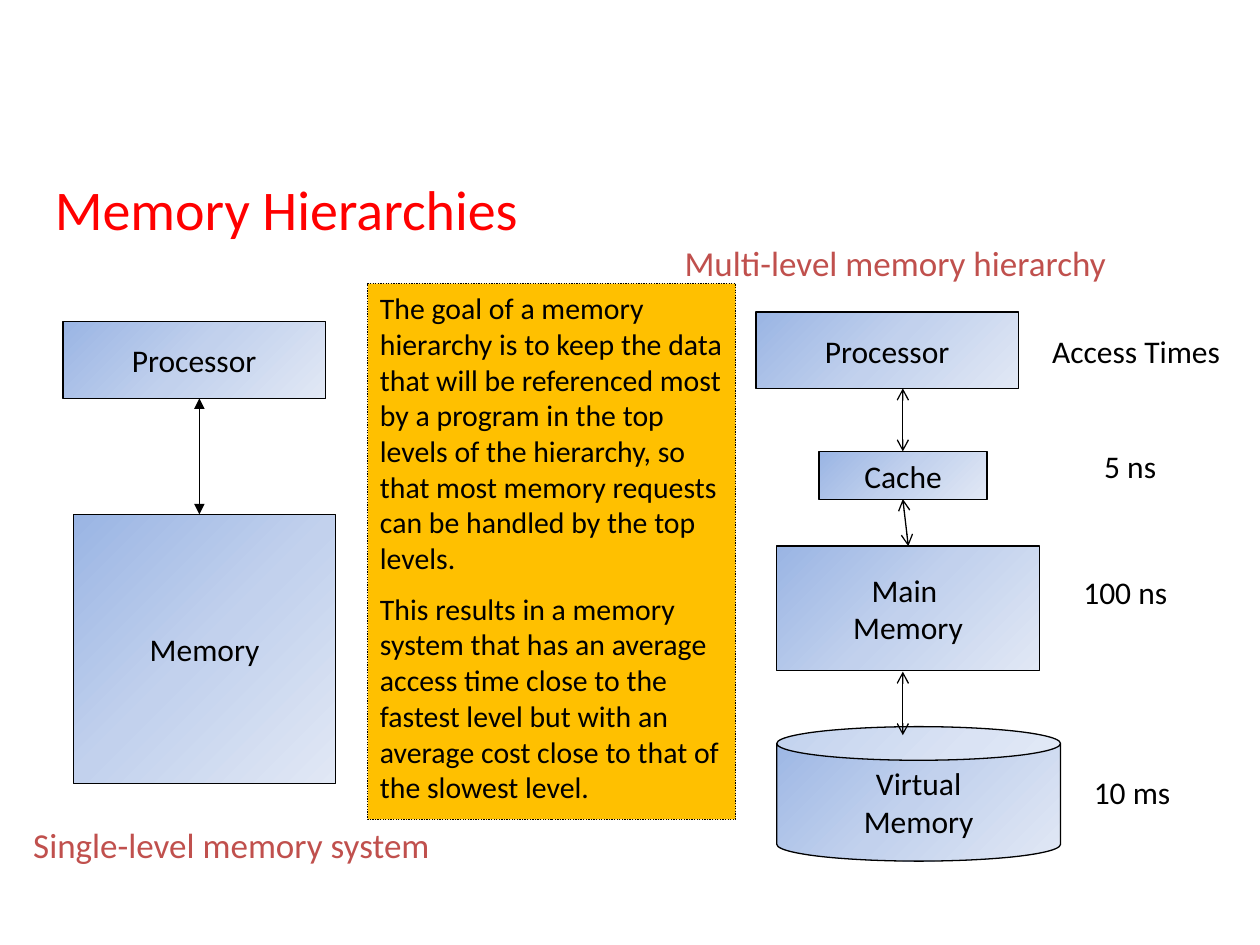
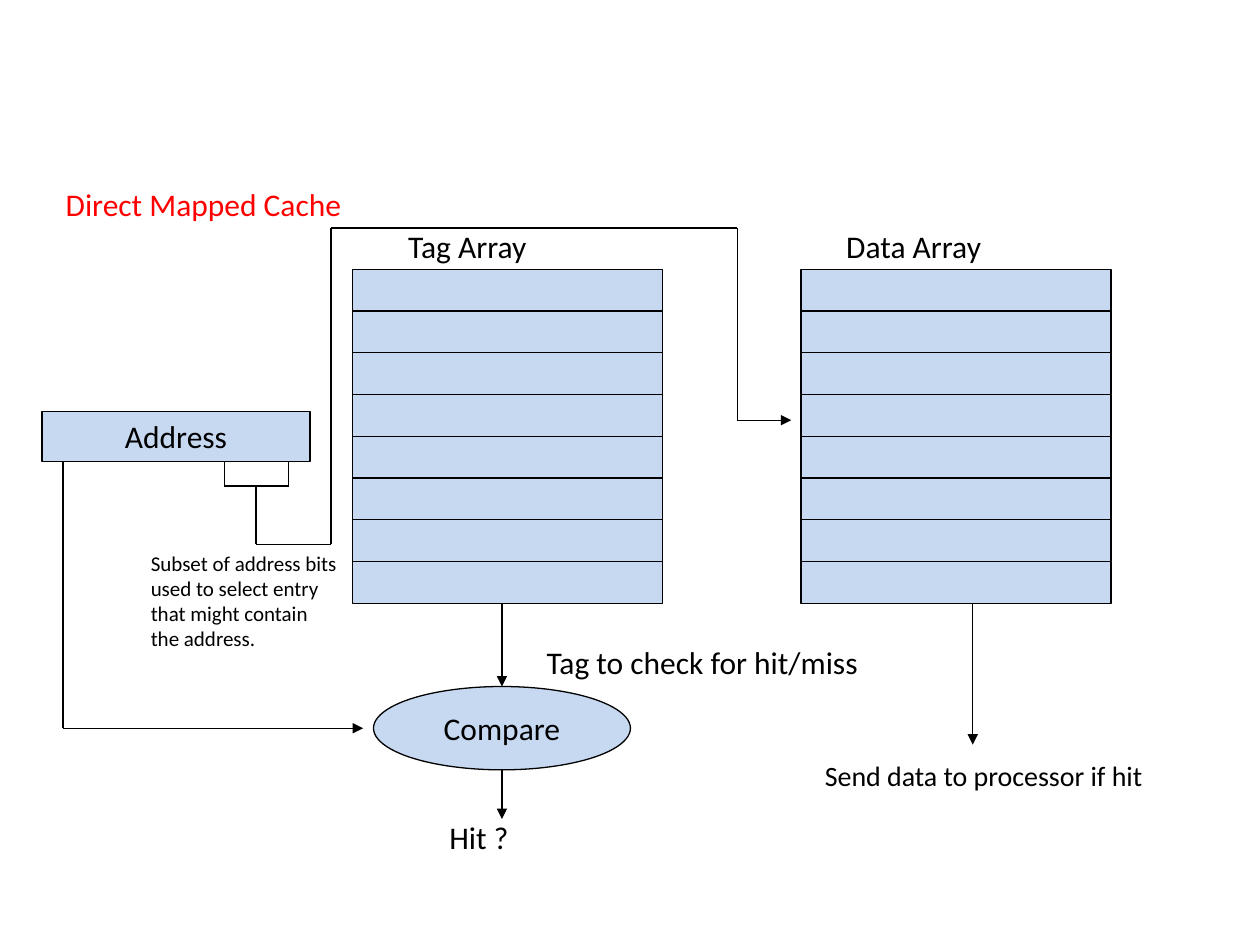
"""Build two lecture slides on memory hierarchies and direct mapped caches."""
from copy import deepcopy
from dataclasses import dataclass
from itertools import pairwise

from lxml import etree
from pptx import Presentation
from pptx.dml.color import RGBColor
from pptx.enum.dml import MSO_LINE
from pptx.enum.shapes import MSO_CONNECTOR, MSO_SHAPE
from pptx.enum.text import MSO_ANCHOR, MSO_AUTO_SIZE, PP_ALIGN
from pptx.oxml.ns import qn
from pptx.util import Cm, Pt

RECTANGLE = MSO_SHAPE.RECTANGLE
CAN = MSO_SHAPE.CAN
OVAL = MSO_SHAPE.OVAL
STRAIGHT = MSO_CONNECTOR.STRAIGHT
DOTTED = MSO_LINE.ROUND_DOT
TOP, MIDDLE = MSO_ANCHOR.TOP, MSO_ANCHOR.MIDDLE
LEFT, CENTER = PP_ALIGN.LEFT, PP_ALIGN.CENTER
FIT_SHAPE = MSO_AUTO_SIZE.SHAPE_TO_FIT_TEXT
NO_FIT = MSO_AUTO_SIZE.NONE

COLORS = {
    "title": "FF0000",
    "caption": "C0504D",
    "ink": "000000",
    "note": "FFC000",
    "cell": "C6D9F1",
    "gradient_start": "9AB5E4",
    "gradient_middle": "C2D1ED",
    "gradient_end": "E1E8F5",
}
GRADIENT = ((0, "gradient_start"), (0.5, "gradient_middle"), (1, "gradient_end"))
FONT = "Calibri"
LINE_WIDTH = Pt(0.75)


@dataclass(frozen=True)
class Area:
    left: float
    top: float
    width: float
    height: float

    def lengths(self):
        return Cm(self.left), Cm(self.top), Cm(self.width), Cm(self.height)


@dataclass(frozen=True)
class Box:
    area: Area
    text: str = ""
    kind: MSO_SHAPE = RECTANGLE
    fill: str = "gradient"


@dataclass(frozen=True)
class Label:
    area: Area
    text: str
    size: float = 18
    color: str = "ink"


@dataclass(frozen=True)
class Route:
    points: tuple
    head: str = ""
    tail: str = ""


def rgb(name: str) -> RGBColor:
    return RGBColor.from_string(COLORS[name])


def write(frame, text: str, size: float, color: str, alignment, space: float = 0) -> None:
    for index, line in enumerate(text.split("\n")):
        paragraph = frame.add_paragraph() if index else frame.paragraphs[0]
        paragraph.alignment = alignment
        paragraph.space_before = Pt(space if index else 0)
        run = paragraph.add_run()
        run.text = line
        run.font.name = FONT
        run.font.size = Pt(size)
        run.font.color.rgb = rgb(color)


def fill_gradient(shape) -> None:
    shape.fill.gradient()
    shape.fill.gradient_angle = 315
    stops = shape.element.spPr.find(".//" + qn("a:gsLst"))
    stops.insert(1, deepcopy(stops[0]))
    for stop, (position, name) in zip(shape.fill.gradient_stops, GRADIENT):
        stop.position = position
        stop.color.rgb = rgb(name)


def add_box(slide, box: Box):
    shape = slide.shapes.add_shape(box.kind, *box.area.lengths())
    shape.shadow.inherit = False
    if box.fill == "gradient":
        fill_gradient(shape)
    else:
        shape.fill.solid()
        shape.fill.fore_color.rgb = rgb(box.fill)
    shape.line.color.rgb = rgb("ink")
    shape.line.width = LINE_WIDTH
    frame = shape.text_frame
    frame.word_wrap = False
    frame.vertical_anchor = MIDDLE
    if box.text:
        write(frame, box.text, 18, "ink", CENTER)
    return shape


def add_label(slide, label: Label) -> None:
    frame = slide.shapes.add_textbox(*label.area.lengths()).text_frame
    frame.word_wrap = True
    frame.auto_size = FIT_SHAPE
    write(frame, label.text, label.size, label.color, LEFT)


def add_note(slide, area: Area, text: str) -> None:
    shape = add_box(slide, Box(area, fill="note"))
    shape.line.dash_style = DOTTED
    frame = shape.text_frame
    frame.word_wrap = True
    frame.vertical_anchor = TOP
    frame.auto_size = FIT_SHAPE
    write(frame, text, 17, "ink", LEFT, space=8.5)


def add_route(slide, route: Route) -> None:
    last = len(route.points) - 2
    for index, (start, end) in enumerate(pairwise(route.points)):
        connector = slide.shapes.add_connector(
            STRAIGHT, *(Cm(value) for value in start + end))
        connector.line.color.rgb = rgb("ink")
        connector.line.width = LINE_WIDTH
        properties = connector.element.spPr
        outline = properties.find(qn("a:ln"))
        if route.head and index == 0:
            etree.SubElement(outline, qn("a:headEnd"), type=route.head)
        if route.tail and index == last:
            etree.SubElement(outline, qn("a:tailEnd"), type=route.tail)
        etree.SubElement(properties, qn("a:effectLst"))


def add_slide(presentation, title: Label):
    slide = presentation.slides.add_slide(presentation.slide_layouts[5])
    shape = slide.shapes.title
    shape.left, shape.top, shape.width, shape.height = title.area.lengths()
    frame = shape.text_frame
    frame.word_wrap = True
    frame.auto_size = NO_FIT
    frame.vertical_anchor = TOP
    write(frame, title.text, title.size, title.color, LEFT)
    return slide


def draw(slide, boxes: list, routes: list, labels: list) -> None:
    for box in boxes:
        add_box(slide, box)
    for route in routes:
        add_route(slide, route)
    for label in labels:
        add_label(slide, label)


def build_hierarchies(presentation) -> None:
    slide = add_slide(presentation, Label(
        Area(0.85, 3.39, 11.43, 1.48), "Memory Hierarchies", 32, "title"))
    boxes = [
        Box(Area(1.27, 6.48, 5.29, 1.55), "Processor"),
        Box(Area(1.48, 10.37, 5.29, 5.43), "Memory"),
        Box(Area(15.24, 6.29, 5.29, 1.55), "Processor"),
        Box(Area(16.51, 9.1, 3.39, 0.97), "Cache"),
        Box(Area(15.66, 11.01, 5.29, 2.51), "Main \nMemory"),
        Box(Area(15.66, 14.65, 5.72, 2.71), "Virtual\nMemory", CAN),
    ]
    routes = [Route(((4.02, 8.03), (4.02, 10.37)), "triangle", "triangle")]
    routes += [
        Route(points, "arrow", "arrow") for points in (
            ((18.2, 7.83), (18.2, 9.1)),
            ((18.2, 10.06), (18.31, 11.01)),
            ((18.2, 13.54), (18.2, 14.82)),
        )
    ]
    labels = [
        Label(Area(0.42, 16.48, 8.89, 1.02), "Single-level memory system", 20, "caption"),
        Label(Area(13.55, 4.74, 9.1, 1.02), "Multi-level memory hierarchy", 20, "caption"),
        Label(Area(20.96, 6.56, 4.45, 0.94), "Access Times"),
        Label(Area(22.01, 8.89, 2.12, 1.16), "5 ns"),
        Label(Area(21.59, 11.43, 3.18, 1.16), "100 ns"),
        Label(Area(21.8, 15.45, 3.18, 1.16), "10 ms"),
    ]
    draw(slide, boxes, routes, labels)
    add_note(slide, Area(7.41, 5.72, 7.42, 10.8), (
        "The goal of a memory hierarchy is to keep the data that will be "
        "referenced most by a program in the top levels of the hierarchy, so "
        "that most memory requests can be handled by the top levels.\n"
        "This results in a memory system that has an average access time close "
        "to the fastest level but with an average cost close to that of the "
        "slowest level."))


def build_direct_mapped(presentation) -> None:
    slide = add_slide(presentation, Label(
        Area(1.07, 3.61, 11.23, 1.02), "Direct Mapped Cache", 18, "title"))
    array_top, array_bottom, rows = 5.43, 12.16, 8
    row_height = (array_bottom - array_top) / rows
    boxes = [
        Box(Area(left, array_top + row * row_height, 6.25, row_height), fill="cell")
        for left in (7.11, 16.15) for row in range(rows)
    ]
    boxes += [
        Box(Area(7.53, 13.84, 5.18, 1.68), "Compare", OVAL, "cell"),
        Box(Area(0.85, 8.29, 5.4, 1.01), "Address", fill="cell"),
    ]
    routes = [
        Route(((10.12, array_bottom), (10.12, 13.84)), tail="triangle"),
        Route(((10.12, 15.52), (10.12, 16.51)), tail="triangle"),
        Route(((19.61, array_bottom), (19.61, 15.01)), tail="triangle"),
        Route(((1.27, 9.3), (1.27, 14.68), (7.32, 14.68)), tail="triangle"),
        Route(((4.52, 9.3), (4.52, 9.8), (5.82, 9.8), (5.82, 9.3))),
        Route(((5.16, 9.8), (5.16, 10.97), (6.67, 10.97), (6.67, 4.6),
               (14.86, 4.6), (14.86, 8.47), (15.95, 8.47)), tail="triangle"),
    ]
    labels = [
        Label(Area(7.98, 4.45, 4.95, 1.02), "Tag Array"),
        Label(Area(16.81, 4.45, 4.95, 1.02), "Data Array"),
        Label(Area(8.81, 16.36, 3.66, 1.02), "Hit ?"),
        Label(Area(10.77, 12.83, 7.11, 0.81), "Tag to check for hit/miss"),
        Label(Area(2.79, 10.97, 4.32, 1.8),
              "Subset of address bits used to select entry that might contain "
              "the address.", 12),
        Label(Area(16.38, 15.16, 7.34, 0.74), "Send data to processor if hit", 16),
    ]
    draw(slide, boxes, routes, labels)


def main() -> None:
    presentation = Presentation()
    presentation.slide_width = Cm(25.4)
    presentation.slide_height = Cm(19.05)
    build_hierarchies(presentation)
    build_direct_mapped(presentation)
    presentation.save("out.pptx")


main()
